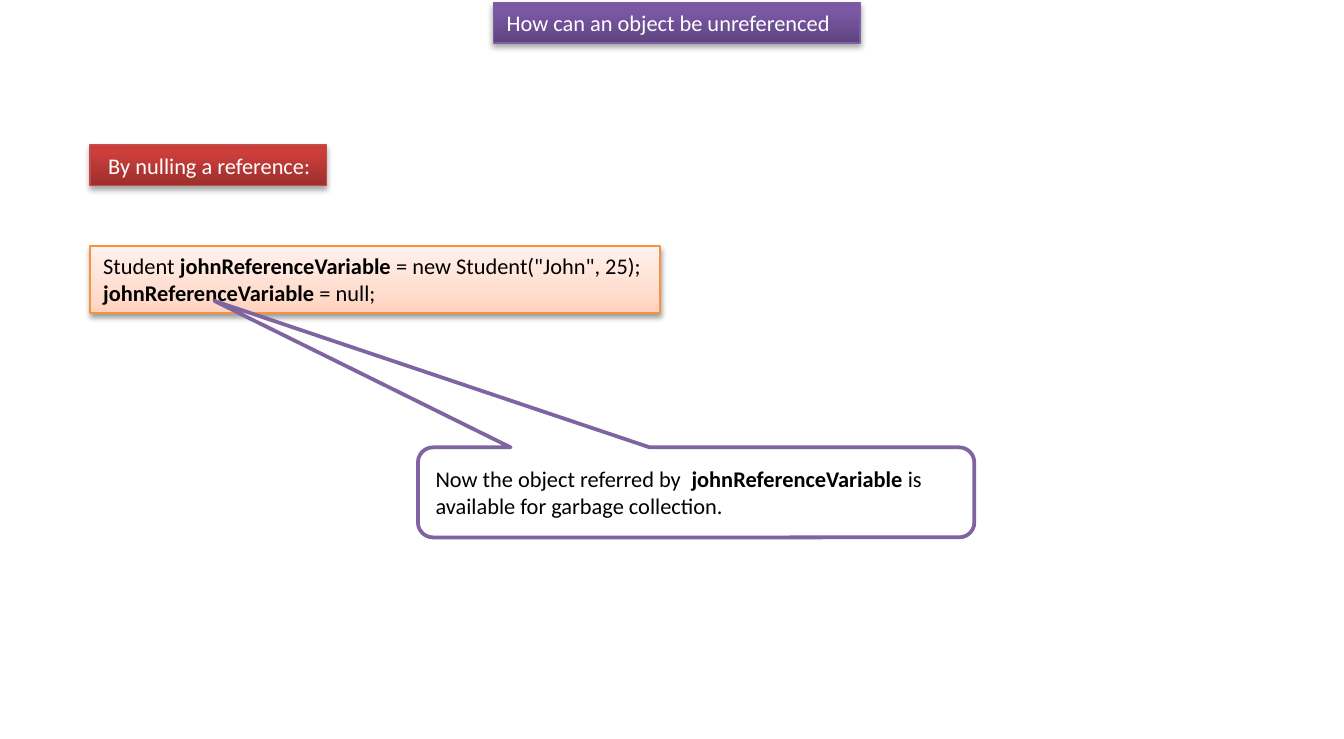
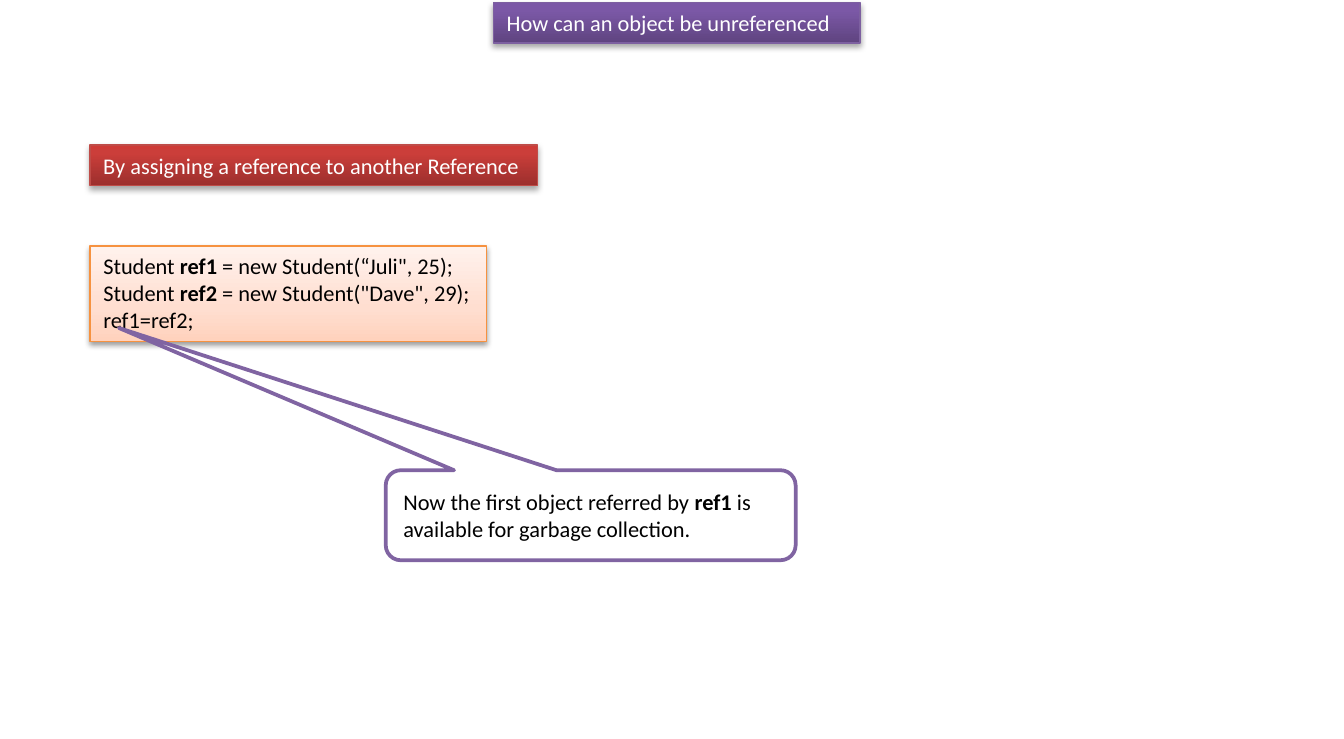
import copy
import dataclasses
import typing

import pptx
import pptx.dml.color
import pptx.enum.shapes
import pptx.enum.text
import pptx.oxml.ns
import pptx.util
from lxml import etree

Inches = pptx.util.Inches
Pt = pptx.util.Pt
RGB = pptx.dml.color.RGBColor.from_string
Shape = pptx.enum.shapes.MSO_SHAPE
Anchor = pptx.enum.text.MSO_ANCHOR
Fit = pptx.enum.text.MSO_AUTO_SIZE
qn = pptx.oxml.ns.qn


@dataclasses.dataclass(frozen=True)
class Look:
    stops: tuple[tuple[float, str], ...]
    line: str
    ink: str
    alpha: int = 35
    drop: float = 1.8


@dataclasses.dataclass(frozen=True)
class Theme:
    font: str = "Calibri"
    size: float = 12
    edge: float = 0.75
    blur: float = 3.1
    title: Look = Look(((0, "5F4480"), (0.8, "7B58A6"), (1, "7C57A8")), "7D60A0", "FFFFFF")
    head: Look = Look(((0, "9C2F2D"), (0.8, "CB3E3A"), (1, "CE3B37")), "BF4C48", "FFFFFF")
    code: Look = Look(((0, "FFD2BD"), (0.35, "FFDED0"), (1, "FFF2ED")), "F69240", "000000", 38, 1.6)
    paper: str = "FFFFFF"
    ink: str = "000000"
    note: str = "8064A2"
    rim: float = 2


@dataclasses.dataclass(frozen=True)
class Box:
    left: float
    top: float
    width: float
    height: float

    def lengths(self) -> tuple[int, ...]:
        return tuple(Inches(v) for v in (self.left, self.top, self.width, self.height))


@dataclasses.dataclass(frozen=True)
class Lesson:
    """Text for one slide; asterisks enclose bold words."""
    head: str
    wide: float
    code: tuple[str, ...]
    area: Box
    note: tuple[str, ...]
    spot: Box
    tip: tuple[float, float]


THEME = Theme()
TITLE = "How can an object be unreferenced"
BAND = Box(3.67, 0.02, 2.73, 0.3)
LEFT = 0.67
LESSONS = (
    Lesson(
        " By nulling a reference:", 1.76,
        ('Student *johnReferenceVariable* = new Student("John", 25);',
         "*johnReferenceVariable *= null;"),
        Box(LEFT, 1.83, 4.24, 0.5),
        ("Now the object referred by  *johnReferenceVariable *is available for garbage collection.",),
        Box(3.11, 3.33, 4.14, 0.67), (-0.866, -2.127),
    ),
    Lesson(
        "By assigning a reference to another Reference", 3.33,
        ('Student *ref1* = new Student(“Juli", 25);',
         'Student *ref2* = new Student("Dave", 29);',
         "ref1=ref2;"),
        Box(LEFT, 1.83, 2.95, 0.71),
        ("Now the first object referred by *ref1* is ",
         "available for garbage collection."),
        Box(2.87, 3.5, 3.05, 0.67), (-1.151, -2.08),
    ),
)


def write(shape: typing.Any, lines: tuple[str, ...], ink: str, anchor: Anchor, wrap: bool) -> None:
    frame = shape.text_frame
    frame.word_wrap = wrap
    frame.vertical_anchor = anchor
    for i, line in enumerate(lines):
        para = frame.paragraphs[0] if i == 0 else frame.add_paragraph()
        para.alignment = pptx.enum.text.PP_ALIGN.LEFT
        for j, part in enumerate(line.split("*")):
            if not part:
                continue
            run = para.add_run()
            run.text = part
            run.font.name = THEME.font
            run.font.size = Pt(THEME.size)
            run.font.bold = j % 2 == 1
            run.font.color.rgb = RGB(ink)


def shade(shape: typing.Any, look: Look) -> None:
    """Give a shape its upward gradient, edge and soft shadow."""
    fill = shape.fill
    fill.gradient()
    fill.gradient_angle = 90
    stops = shape.element.spPr.find(".//" + qn("a:gsLst"))
    stops.append(copy.deepcopy(stops[0]))
    for stop, (place, tint) in zip(fill.gradient_stops, look.stops):
        stop.position = place
        stop.color.rgb = RGB(tint)
    shape.line.color.rgb = RGB(look.line)
    shape.line.width = Pt(THEME.edge)

    shape.shadow.inherit = False
    effect = shape.element.spPr.find(qn("a:effectLst"))
    glow = etree.SubElement(
        effect, qn("a:outerShdw"), blurRad=str(Pt(THEME.blur)),
        dist=str(Pt(look.drop)), dir="5400000", rotWithShape="0")
    tint = etree.SubElement(glow, qn("a:srgbClr"), val="000000")
    etree.SubElement(tint, qn("a:alpha"), val=str(look.alpha * 1000))


def panel(shape: typing.Any, lines: tuple[str, ...], look: Look, fit: Fit, wrap: bool) -> None:
    shade(shape, look)
    write(shape, lines, look.ink, Anchor.TOP, wrap)
    shape.text_frame.auto_size = fit


def callout(slide: typing.Any, item: Lesson) -> None:
    shape = slide.shapes.add_shape(Shape.ROUNDED_RECTANGULAR_CALLOUT, *item.spot.lengths())
    for i, value in enumerate((*item.tip, 0.167)):
        shape.adjustments[i] = value
    shape.shadow.inherit = False
    shape.fill.solid()
    shape.fill.fore_color.rgb = RGB(THEME.paper)
    shape.line.color.rgb = RGB(THEME.note)
    shape.line.width = Pt(THEME.rim)
    write(shape, item.note, THEME.ink, Anchor.MIDDLE, True)


def build(deck: typing.Any, item: Lesson) -> None:
    slide = deck.slides.add_slide(deck.slide_layouts[5])
    title = slide.shapes.title
    title.left, title.top, title.width, title.height = BAND.lengths()
    panel(title, (TITLE,), THEME.title, Fit.NONE, True)
    head = Box(LEFT, 1.08, item.wide, BAND.height)
    for box, lines, look in ((head, (item.head,), THEME.head), (item.area, item.code, THEME.code)):
        shape = slide.shapes.add_shape(Shape.RECTANGLE, *box.lengths())
        panel(shape, lines, look, Fit.SHAPE_TO_FIT_TEXT, False)
    callout(slide, item)


def main() -> None:
    deck = pptx.Presentation()
    deck.slide_width = Inches(10)
    deck.slide_height = Inches(5.5)
    for item in LESSONS:
        build(deck, item)
    deck.save("out.pptx")


if __name__ == "__main__":
    main()
